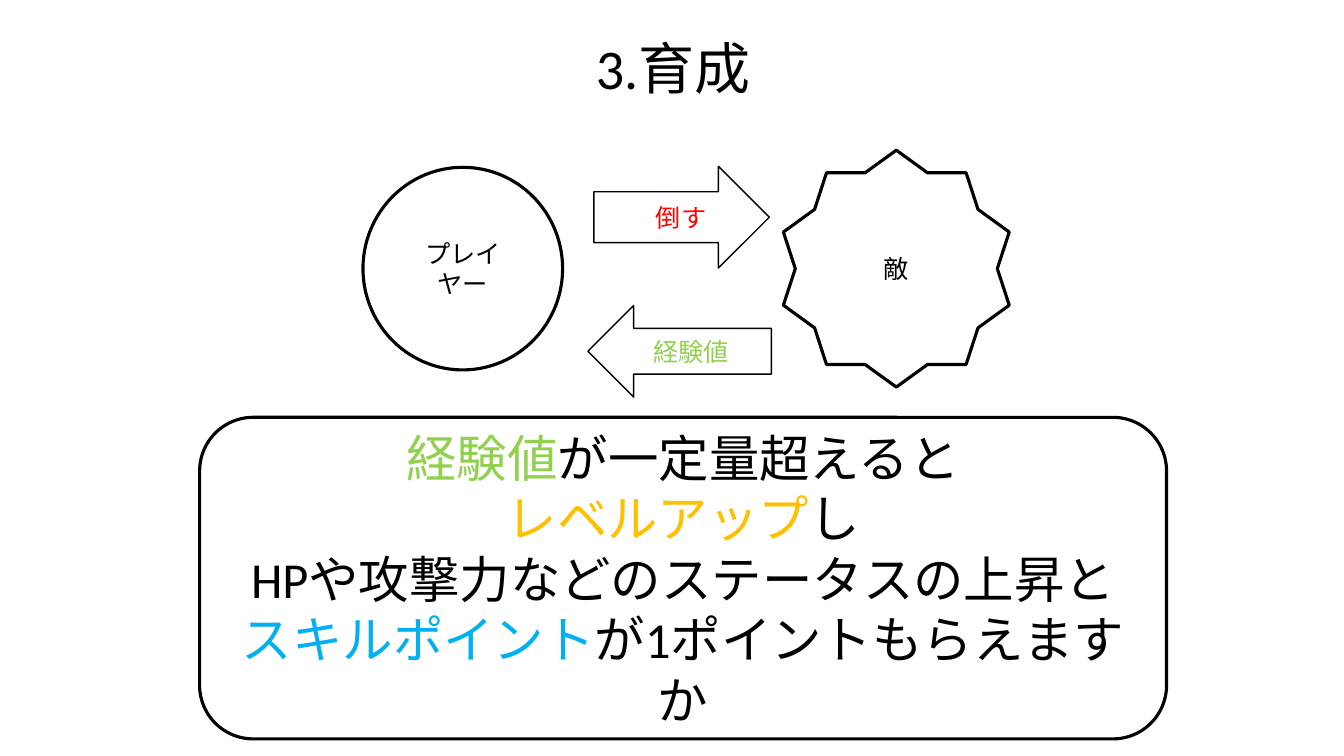
from pptx import Presentation
from pptx.dml.color import RGBColor
from pptx.enum.shapes import MSO_SHAPE as Shape
from pptx.enum.text import MSO_ANCHOR as Anchor, PP_ALIGN as Align
from pptx.util import Inches, Pt

# Content: each paragraph is a list of (text, colour) runs
COLORS = {"black": "000000", "white": "FFFFFF", "red": "FF0000",
          "green": "92D050", "gold": "FFC000", "blue": "00B0F0"}
FONT = "Calibri"
TITLE = [[("3.育成", "black")]]
PLAYER = [[("プレイヤー", "black")]]
ENEMY = [[("敵", "black")]]
DEFEAT = [[("倒す", "red")]]
EXPERIENCE = [[("経験値", "green")]]
LEVEL_UP = [
    [("経験値", "green"), ("が一定量超えると", "black")],
    [("レベルアップ", "gold"), ("し", "black")],
    [("HPや攻撃力などのステータスの上昇と", "black")],
    [("スキルポイント", "blue"), ("が1ポイントもらえますか", "black")],
]

# Layout in inches: left, top, width, height
WIDTH, HEIGHT = 13.33, 7.5
TITLE_BOX = (2.99, 0.28, 7.37, 0.77)
THICK, THIN = 2.25, 1
# preset, box, line width, text size, paragraphs, left inset
DIAGRAM = [
    (Shape.OVAL, (3.6, 1.66, 1.98, 2.01), THICK, 18, PLAYER, 0.1),
    (Shape.STAR_10_POINT, (7.77, 1.49, 2.24, 2.35), THICK, 18, ENEMY, 0.1),
    (Shape.RIGHT_ARROW, (5.89, 1.65, 1.74, 1.01), THIN, 18, DEFEAT, 0.34),
    (Shape.LEFT_ARROW, (5.83, 3.03, 1.82, 0.91), THIN, 18, EXPERIENCE, 0.1),
    (Shape.ROUNDED_RECTANGLE, (1.98, 4.14, 9.59, 3.19), THICK, 36, LEVEL_UP, 0.1),
]


def color(name):
    return RGBColor.from_string(COLORS[name])


def write(text_frame, paragraphs, size):
    text_frame.word_wrap = True
    for index, runs in enumerate(paragraphs):
        paragraph = text_frame.add_paragraph() if index else text_frame.paragraphs[0]
        paragraph.alignment = Align.CENTER
        for text, color_name in runs:
            run = paragraph.add_run()
            run.text = text
            run.font.name = FONT
            run.font.size = Pt(size)
            run.font.color.rgb = color(color_name)


def add_outlined(slide, preset, box, line_width, size, paragraphs, inset):
    shape = slide.shapes.add_shape(preset, *map(Inches, box))
    shape.shadow.inherit = False
    shape.fill.solid()
    shape.fill.fore_color.rgb = color("white")
    shape.line.color.rgb = color("black")
    shape.line.width = Pt(line_width)
    shape.text_frame.vertical_anchor = Anchor.MIDDLE
    shape.text_frame.margin_left = Inches(inset)
    write(shape.text_frame, paragraphs, size)


def main():
    presentation = Presentation()
    presentation.slide_width = Inches(WIDTH)
    presentation.slide_height = Inches(HEIGHT)
    slide = presentation.slides.add_slide(presentation.slide_layouts[6])

    # Title
    title = slide.shapes.add_textbox(*map(Inches, TITLE_BOX))
    write(title.text_frame, TITLE, 40)

    # Player and enemy, the arrows between them, and the level-up rule
    for part in DIAGRAM:
        add_outlined(slide, *part)

    presentation.save("out.pptx")


if __name__ == "__main__":
    main()
